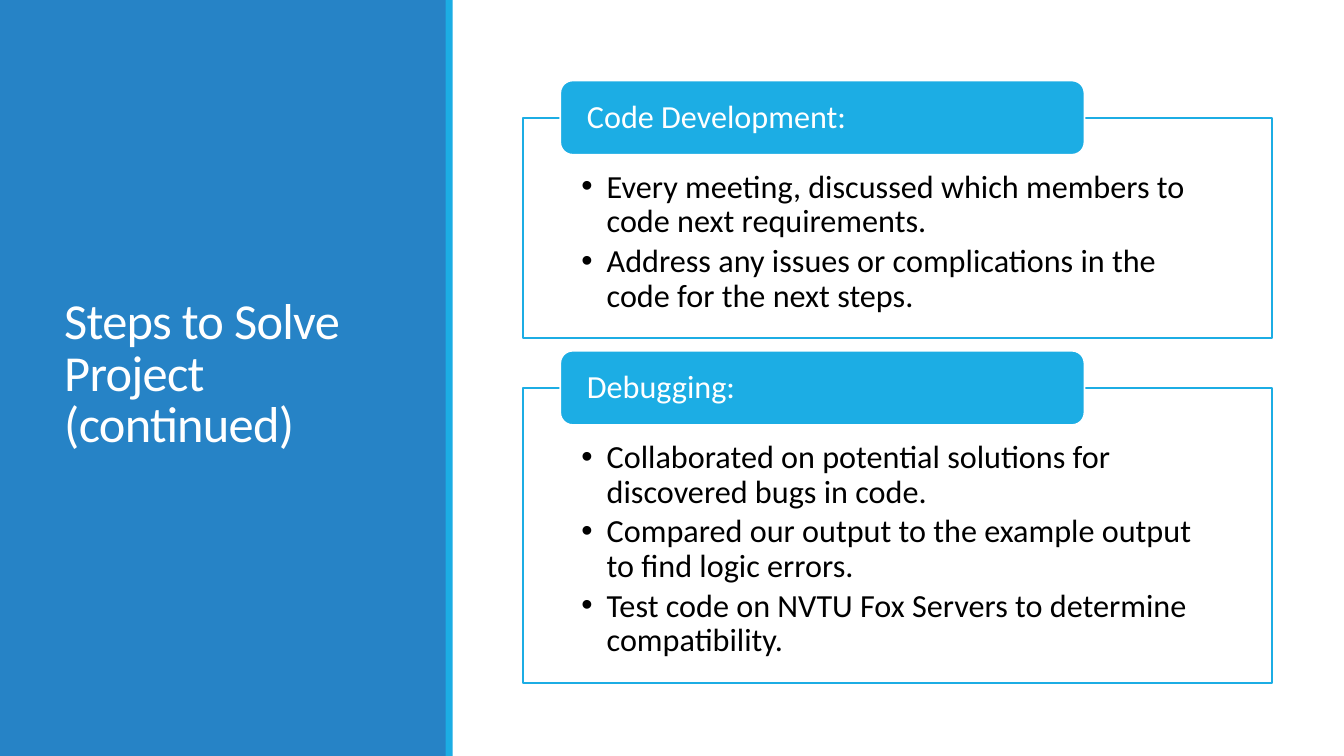
from lxml import etree
from pptx import Presentation
from pptx.dml.color import RGBColor
from pptx.enum import shapes, text
from pptx.oxml import ns
from pptx.util import Cm, Pt

TITLE = "Steps to Solve Project (continued)"
SECTIONS = [
    ("Code Development:", 5.54, [
        "Every meeting, discussed which members to code next requirements.",
        "Address any issues or complications in the code for the next steps.",
    ]),
    ("Debugging:", 7.44, [
        "Collaborated on potential solutions for discovered bugs in code.",
        "Compared our output to the example output to find logic errors.",
        "Test code on NVTU Fox Servers to determine compatibility.",
    ]),
]
COLORS = {"blue": "2683C6", "cyan": "1CADE4", "white": "FFFFFF", "black": "000000"}
FONT = "Calibri"
SLIDE_W, SLIDE_H = 33.87, 19.05
PANEL_X, PANEL_W, FIRST_TOP, PANEL_GAP = 13.18, 18.87, 2.97, 1.27
TAB_X, TAB_W, TAB_H, TAB_RISE = 14.12, 13.21, 1.87, 0.94
INDENT = Cm(0.64)


def color(name):
    return RGBColor.from_string(COLORS[name])


def add_box(s, kind, box, fill, line=None):
    sp = s.shapes.add_shape(kind, *map(Cm, box))
    sp.shadow.inherit = False
    sp.fill.solid()
    sp.fill.fore_color.rgb = color(fill)
    if line:
        sp.line.color.rgb = color(line)
        sp.line.width = Pt(1.25)
    else:
        sp.line.fill.background()
    return sp


def write(sp, lines, size, ink, anchor, insets, spacing, after=0):
    tf = sp.text_frame
    tf.word_wrap = True
    tf.vertical_anchor = anchor
    tf.margin_left, tf.margin_top, tf.margin_right, tf.margin_bottom = map(Cm, insets)
    tf.text = "\n".join(lines)
    for p in tf.paragraphs:
        p.alignment = text.PP_ALIGN.LEFT
        p.line_spacing = spacing
        p.space_after = Pt(after)
        font = p.runs[0].font
        font.name, font.size = FONT, Pt(size)
        font.color.rgb = color(ink)
    return tf.paragraphs


def add_bullet(p):
    pPr = p._p.get_or_add_pPr()
    pPr.set("marL", str(INDENT))
    pPr.set("indent", str(-INDENT))
    etree.SubElement(pPr, ns.qn("a:buFont")).set("typeface", "Arial")
    etree.SubElement(pPr, ns.qn("a:buChar")).set("char", "•")


def add_section(s, top, heading, height, bullets):
    panel = add_box(s, shapes.MSO_SHAPE.RECTANGLE,
                    (PANEL_X, top, PANEL_W, height), "white", "cyan")
    for p in write(panel, bullets, 23, "black", text.MSO_ANCHOR.TOP,
                   (1.47, 1.32, 1.47, 0.46), 0.9, 3.5):
        add_bullet(p)
    tab = add_box(s, shapes.MSO_SHAPE.ROUNDED_RECTANGLE,
                  (TAB_X, top - TAB_RISE, TAB_W, TAB_H), "cyan", "white")
    write(tab, [heading], 23, "white", text.MSO_ANCHOR.MIDDLE, (0.58, 0, 0.58, 0), 0.9)


def main():
    prs = Presentation()
    prs.slide_width, prs.slide_height = Cm(SLIDE_W), Cm(SLIDE_H)
    s = prs.slides.add_slide(prs.slide_layouts[6])

    add_box(s, shapes.MSO_SHAPE.RECTANGLE, (0, 0, 11.25, SLIDE_H), "blue")
    title = s.shapes.add_textbox(Cm(1.37), Cm(1.45), Cm(8.56), Cm(16.03))
    p = write(title, [TITLE], 36, "white", text.MSO_ANCHOR.MIDDLE,
              (0.25, 0.13, 0.25, 0.13), 0.85)[0]
    p.runs[0]._r.get_or_add_rPr().set("spc", "-50")
    add_box(s, shapes.MSO_SHAPE.RECTANGLE, (11.23, 0, 0.18, SLIDE_H), "cyan")

    top = FIRST_TOP
    for heading, height, bullets in SECTIONS:
        add_section(s, top, heading, height, bullets)
        top += height + PANEL_GAP

    prs.save("out.pptx")


if __name__ == "__main__":
    main()
